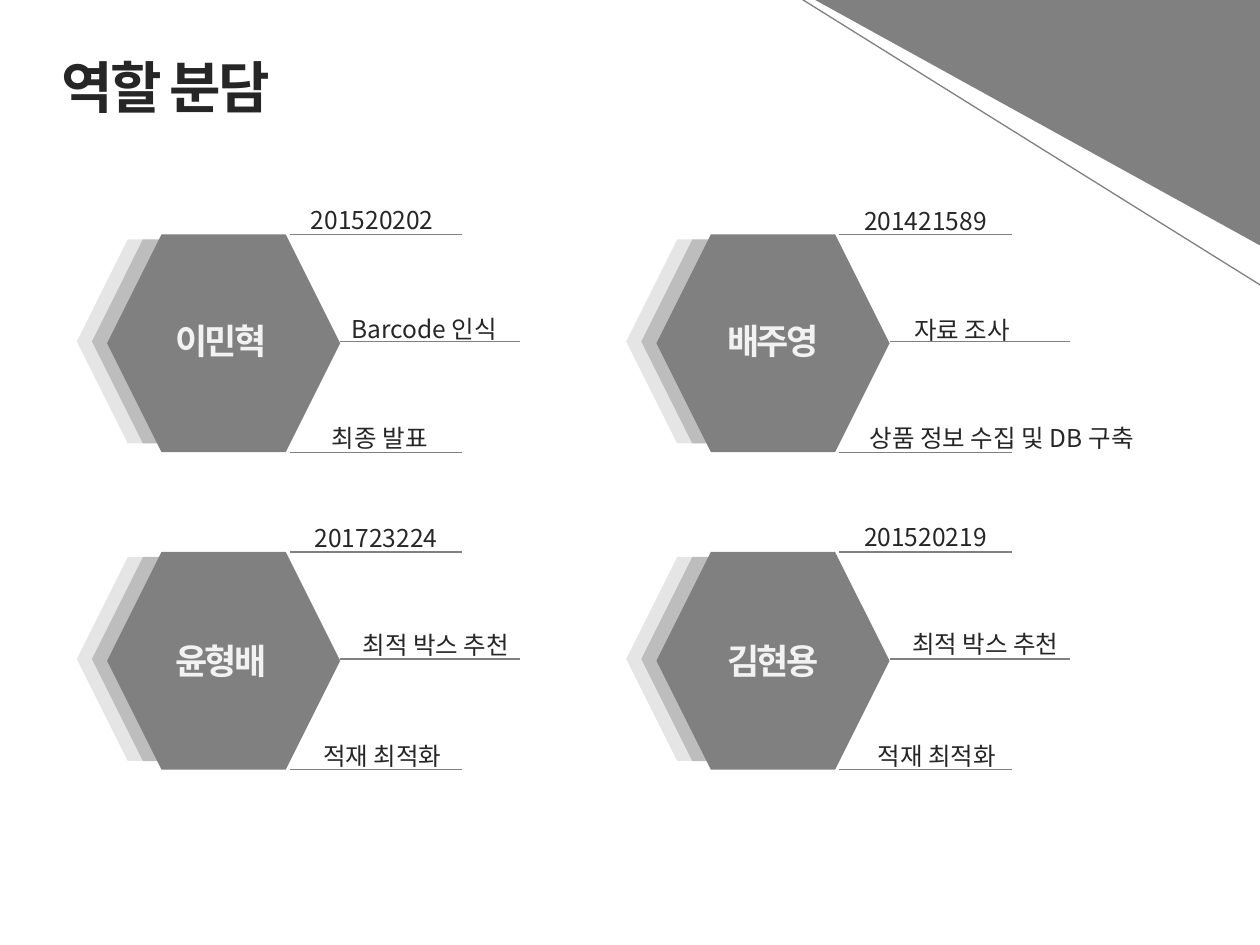
import pptx
import pptx.util
import pptx.dml.color
import pptx.enum.shapes
import pptx.enum.text
import pptx.oxml
import pptx.oxml.ns

INCH = pptx.util.Inches
SHAPES = pptx.enum.shapes.MSO_SHAPE
ANCHOR = pptx.enum.text.MSO_ANCHOR
ALIGN = pptx.enum.text.PP_ALIGN
AUTO_SIZE = pptx.enum.text.MSO_AUTO_SIZE

FONT = "Noto Sans CJK KR"
GRAY, DARK, PALE = "808080", "262626", "F2F2F2"
DRAWING = pptx.oxml.ns.nsdecls("a")

# Card grid: origin and step of columns and rows
LEFT, TOP, COLUMN_STEP, ROW_STEP = 0.61, 1.86, 4.36, 2.52
# Offsets in a card: left, top, width, height, opacity in percent
HEXAGONS = [(0.24, 0, 1.85, 1.73, 100),
            (0.12, 0.04, 1.73, 1.62, 39),
            (0, 0.04, 1.73, 1.62, 20)]
# Offsets in a card: left, top, length
RULES = [(1.69, 0, 1.37), (2.09, 0.85, 1.43), (1.69, 1.73, 1.37)]

# Column, row, name, then each label with its box
MEMBERS = [
    (0, 0, "이민혁", [("201520202", (2.24, 1.63, 1.43, 0.22)),
                   ("Barcode 인식", (2.65, 2.5, 1.43, 0.22)),
                   ("최종 발표", (2.3, 3.36, 1.43, 0.22))]),
    (1, 0, "배주영", [("201421589", (6.63, 1.64, 1.43, 0.22)),
                   ("자료 조사", (7.03, 2.5, 1.21, 0.24)),
                   ("상품 정보 수집 및 DB 구축", (6.63, 3.36, 2.64, 0.23))]),
    (0, 1, "윤형배", [("201723224", (2.27, 4.16, 1.43, 0.22)),
                   ("최적 박스 추천", (2.68, 4.99, 1.56, 0.26)),
                   ("적재 최적화", (2.09, 5.87, 1.89, 0.26))]),
    (1, 1, "김현용", [("201520219", (6.63, 4.15, 1.43, 0.22)),
                   ("최적 박스 추천", (7.03, 4.99, 1.58, 0.24)),
                   ("적재 최적화", (6.57, 5.91, 1.73, 0.17))]),
]


def color(value):
    return pptx.dml.color.RGBColor.from_string(value)


def add_filled(shapes, kind, box, opacity=100):
    shape = shapes.add_shape(kind, *map(INCH, box))
    shape.shadow.inherit = False
    shape.fill.solid()
    shape.fill.fore_color.rgb = color(GRAY)
    shape.line.fill.background()
    if opacity < 100:
        tint = shape.fill._xPr.find(".//" + pptx.oxml.ns.qn("a:srgbClr"))
        tint.append(pptx.oxml.parse_xml(
            f'<a:alpha {DRAWING} val="{opacity * 1000}"/>'))
    return shape


def add_rule(shapes, start, end):
    rule = shapes.add_connector(pptx.enum.shapes.MSO_CONNECTOR.STRAIGHT,
                                *map(INCH, (*start, *end)))
    rule.line.color.rgb = color(GRAY)
    rule.line.width = pptx.util.Pt(0.75)
    rule._element.spPr.append(pptx.oxml.parse_xml(f"<a:effectLst {DRAWING}/>"))


def write(shape, text, size, ink, frame_format, align, heading=False):
    frame = shape.text_frame
    for key, value in {"word_wrap": True, **frame_format}.items():
        setattr(frame, key, value)
    paragraph = frame.paragraphs[0]
    paragraph.alignment = align
    run = paragraph.add_run()
    run.text = text
    font_format = {"name": FONT, "size": pptx.util.Pt(size), "bold": heading}
    for key, value in font_format.items():
        setattr(run.font, key, value)
    run.font.color.rgb = color(ink)
    properties = run.font._element
    properties.append(pptx.oxml.parse_xml(
        f'<a:ea {DRAWING} typeface="{FONT}"/>'))
    if heading:
        # Tight letters with a faint outline
        properties.set("spc", "-150")
        properties.insert(0, pptx.oxml.parse_xml(
            f'<a:ln {DRAWING} w="9525"><a:solidFill><a:srgbClr val="000000">'
            '<a:alpha val="20000"/></a:srgbClr></a:solidFill></a:ln>'))


def add_title(slide):
    title = slide.shapes.title
    box = {"left": 0.39, "top": 0.37, "width": 6.69, "height": 0.64}
    for key, value in box.items():
        setattr(title, key, INCH(value))
    write(title, "역할 분담", 32, DARK,
          {"vertical_anchor": ANCHOR.TOP,
           "auto_size": AUTO_SIZE.SHAPE_TO_FIT_TEXT}, ALIGN.LEFT, True)


def add_corner(slide):
    triangle = add_filled(slide.shapes, SHAPES.RIGHT_TRIANGLE,
                          (6.47, 0, 3.57, 1.97))
    triangle.rotation = 180
    add_rule(slide.shapes, (6.07, -0.19), (10.24, 2.41))


def add_card(slide, column, row):
    card = slide.shapes.add_group_shape().shapes
    x, y = LEFT + column * COLUMN_STEP, TOP + row * ROW_STEP
    for dx, dy, width, height, opacity in HEXAGONS:
        add_filled(card, SHAPES.HEXAGON, (x + dx, y + dy, width, height), opacity)
    for dx, dy, length in RULES:
        add_rule(card, (x + dx, y + dy), (x + dx + length, y + dy))


def add_member_text(slide, column, row, name, labels):
    name_box = (1.27 + column * 4.38, 2.49 + row * 2.54, 0.97, 0.44)
    write(slide.shapes.add_textbox(*map(INCH, name_box)), name, 20, PALE,
          {"auto_size": AUTO_SIZE.SHAPE_TO_FIT_TEXT}, ALIGN.CENTER, True)
    for label, box in labels:
        write(slide.shapes.add_textbox(*map(INCH, box)), label, 14, DARK,
              {"vertical_anchor": ANCHOR.MIDDLE}, ALIGN.CENTER)


def main():
    deck = pptx.Presentation()
    deck.slide_width, deck.slide_height = INCH(10), INCH(7.5)
    slide = deck.slides.add_slide(deck.slide_layouts.get_by_name("Title Only"))
    add_corner(slide)
    for column, row, name, labels in MEMBERS:
        add_card(slide, column, row)
        add_member_text(slide, column, row, name, labels)
    add_title(slide)
    deck.save("out.pptx")


if __name__ == "__main__":
    main()
